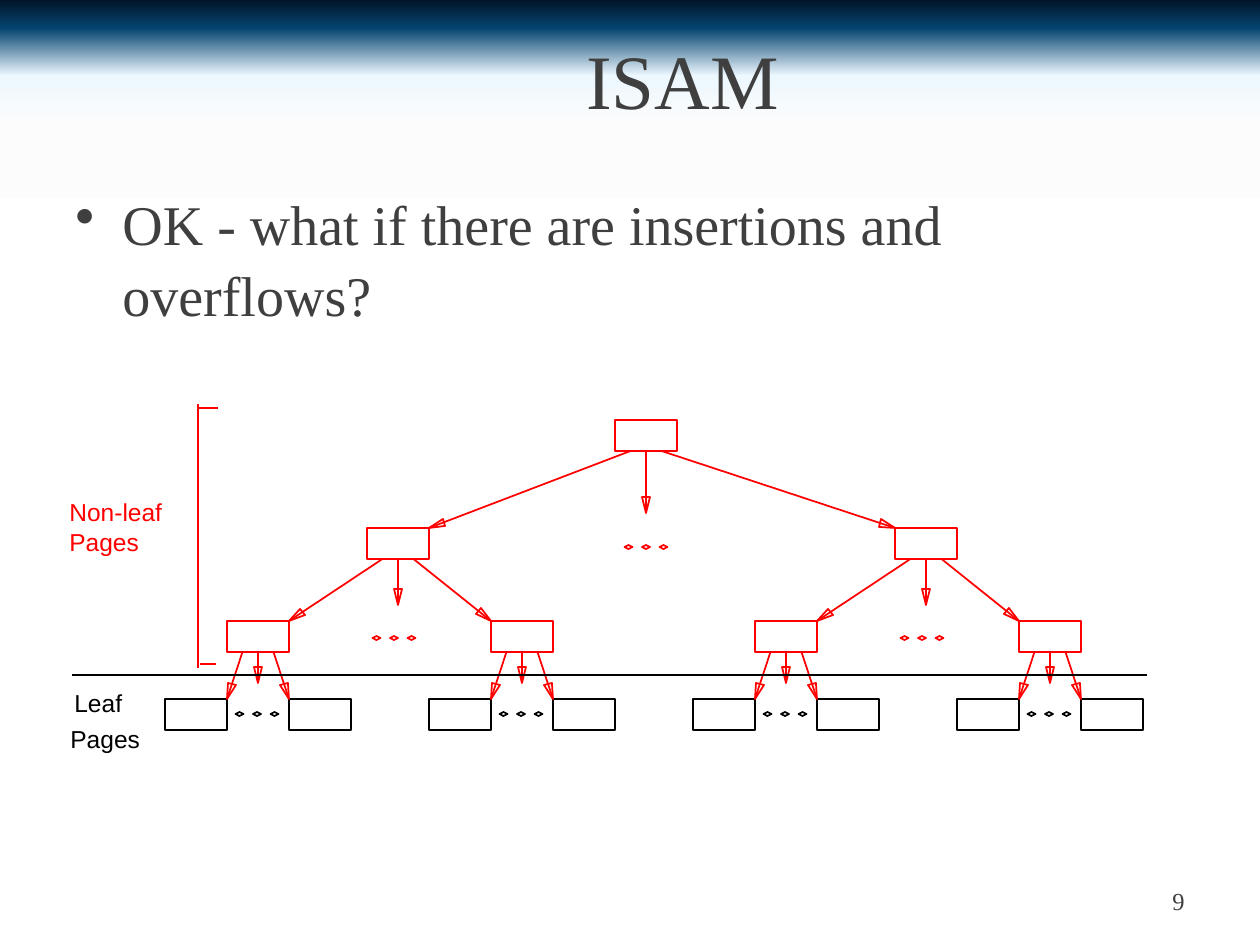
from collections import namedtuple
from math import hypot

from lxml.etree import SubElement
from pptx import Presentation
from pptx.dml.color import RGBColor
from pptx.enum.shapes import MSO_CONNECTOR as Connector, MSO_SHAPE as Shape
from pptx.enum.text import MSO_ANCHOR as Anchor, PP_ALIGN as Align
from pptx.oxml.ns import qn
from pptx.util import Emu, Pt

PX = 914400 / 126
BLACK = RGBColor(0, 0, 0)
RED = RGBColor(255, 0, 0)
GRAY = RGBColor(0x3F, 0x3F, 0x3F)
SERIF, SANS = "Times New Roman", "Arial"
SKY = [(0, "011629"), (3, "054470"), (8, "ECF7FE"),
       (13, "FCFCFC"), (21, "FFFFFF"), (98, "FFFFFF")]

NODE_WIDTH, NODE_HEIGHT = 62, 31
Level = namedtuple("Level", "left right drop stem dots_shift dots_drop")
LEVELS = [Level(-248, 280, 108, 62, 0, 127),
          Level(-140, 124, 93, 46, -4, 110),
          Level(-62, 62, 78, 31, -1, 93)]


def px(length):
    return Emu(round(length * PX))


def add_text(slide, text, box, size=14, font=SANS, color=BLACK, align=Align.LEFT,
             anchor=Anchor.TOP, wrap=True, bullet=None, indent=0, spacing=1.0):
    frame = slide.shapes.add_textbox(*map(px, box)).text_frame
    frame.word_wrap = wrap
    frame.vertical_anchor = anchor
    frame.text = text
    for paragraph in frame.paragraphs:
        if bullet:
            properties = paragraph._p.get_or_add_pPr()
            properties.set("marL", str(px(indent)))
            properties.set("indent", str(-px(indent)))
            SubElement(properties, qn("a:buChar"), char=bullet)
        paragraph.alignment = align
        paragraph.line_spacing = spacing
        paragraph.font.size = Pt(size)
        paragraph.font.name = font
        paragraph.font.color.rgb = color


def add_outline(slide, kind, box, color):
    shape = slide.shapes.add_shape(kind, *map(px, box))
    shape.shadow.inherit = False
    shape.fill.background()
    shape.line.color.rgb = color
    shape.line.width = Pt(1)
    return shape


def add_line(slide, start, end, color):
    line = slide.shapes.add_connector(Connector.STRAIGHT, *map(px, start + end))
    line.line.color.rgb = color
    line.line.width = Pt(1)
    SubElement(line._element.spPr, qn("a:effectLst"))
    return line


def add_arrow(slide, start, tip):
    line = add_line(slide, start, tip, RED)
    run, rise = tip[0] - start[0], tip[1] - start[1]
    length = hypot(run, rise)
    run, rise = run / length, rise / length
    back_x, back_y = tip[0] - 16 * run, tip[1] - 16 * rise
    corners = [(back_x - 4 * rise, back_y + 4 * run), (back_x + 4 * rise, back_y - 4 * run)]
    builder = slide.shapes.build_freeform(*tip, scale=PX)
    builder.add_line_segments(corners, close=True)
    head = builder.convert_to_shape()
    head.shadow.inherit = False
    head.fill.background()
    head.line.color.rgb = RED
    head.line.width = Pt(1)
    return line


def add_dots(slide, center_x, center_y, color):
    for offset in (-17.5, 0, 17.5):
        add_outline(slide, Shape.DIAMOND, (center_x + offset - 4, center_y - 2, 8, 4), color)


def draw_tree(slide, left, top, depth=0):
    is_leaf = depth == len(LEVELS)
    node = add_outline(slide, Shape.RECTANGLE, (left, top, NODE_WIDTH, NODE_HEIGHT),
                       BLACK if is_leaf else RED)
    if is_leaf:
        return
    level = LEVELS[depth]
    middle, bottom = left + NODE_WIDTH / 2, top + NODE_HEIGHT
    child_top = top + level.drop
    for shift, side, corner in ((level.left, -1, NODE_WIDTH), (level.right, 1, 0)):
        draw_tree(slide, left + shift, child_top, depth + 1)
        add_arrow(slide, (middle + side * NODE_WIDTH / 4, bottom),
                  (left + shift + corner, child_top))
    stem = add_arrow(slide, (middle, bottom), (middle, bottom + level.stem))
    stem.begin_connect(node, 2)
    add_dots(slide, middle + level.dots_shift, top + level.dots_drop,
             BLACK if depth == len(LEVELS) - 1 else RED)


def draw_labels(slide, left, top):
    bracket = left + 141
    add_line(slide, (bracket, top), (bracket, top + 264), RED)
    add_line(slide, (bracket, top + 4), (bracket + 20, top + 4), RED)
    add_line(slide, (bracket + 2, top + 260), (bracket + 18, top + 260), RED)
    add_line(slide, (left + 15, top + 271), (left + 1090, top + 271), BLACK)
    add_text(slide, "Non-leaf\nPages", (left, top + 87, 123, 72), color=RED, wrap=False)
    add_text(slide, "Leaf", (left + 5, top + 278, 76, 42), wrap=False)
    add_text(slide, "Pages", (left + 1, top + 314, 97, 42), wrap=False)


def draw_background(slide):
    fill = slide.background.fill
    fill.gradient()
    fill.gradient_angle = 270
    stops = next(slide.background._cSld.iter(qn("a:gsLst")))
    for stop in list(stops):
        stops.remove(stop)
    for percent, color in SKY:
        stop = SubElement(stops, qn("a:gs"), pos=str(percent * 1000))
        SubElement(stop, qn("a:srgbClr"), val=color)


def draw_text(slide):
    style = dict(font=SERIF, color=GRAY)
    add_text(slide, "ISAM", (147, 0, 1071, 158), size=44, align=Align.CENTER,
             anchor=Anchor.MIDDLE, **style)
    add_text(slide, "OK - what if there are insertions and overflows?",
             (63, 179, 1113, 662), size=32, bullet="•", indent=47, spacing=1.06, **style)
    add_text(slide, "9", (903, 876, 294, 50), align=Align.RIGHT, anchor=Anchor.MIDDLE, **style)


def main():
    presentation = Presentation()
    presentation.slide_width, presentation.slide_height = px(1260), px(945)
    slide = presentation.slides.add_slide(presentation.slide_layouts[6])
    draw_background(slide)
    draw_text(slide)
    draw_tree(slide, 615, 420)
    draw_labels(slide, 57, 404)
    presentation.save("out.pptx")


if __name__ == "__main__":
    main()
